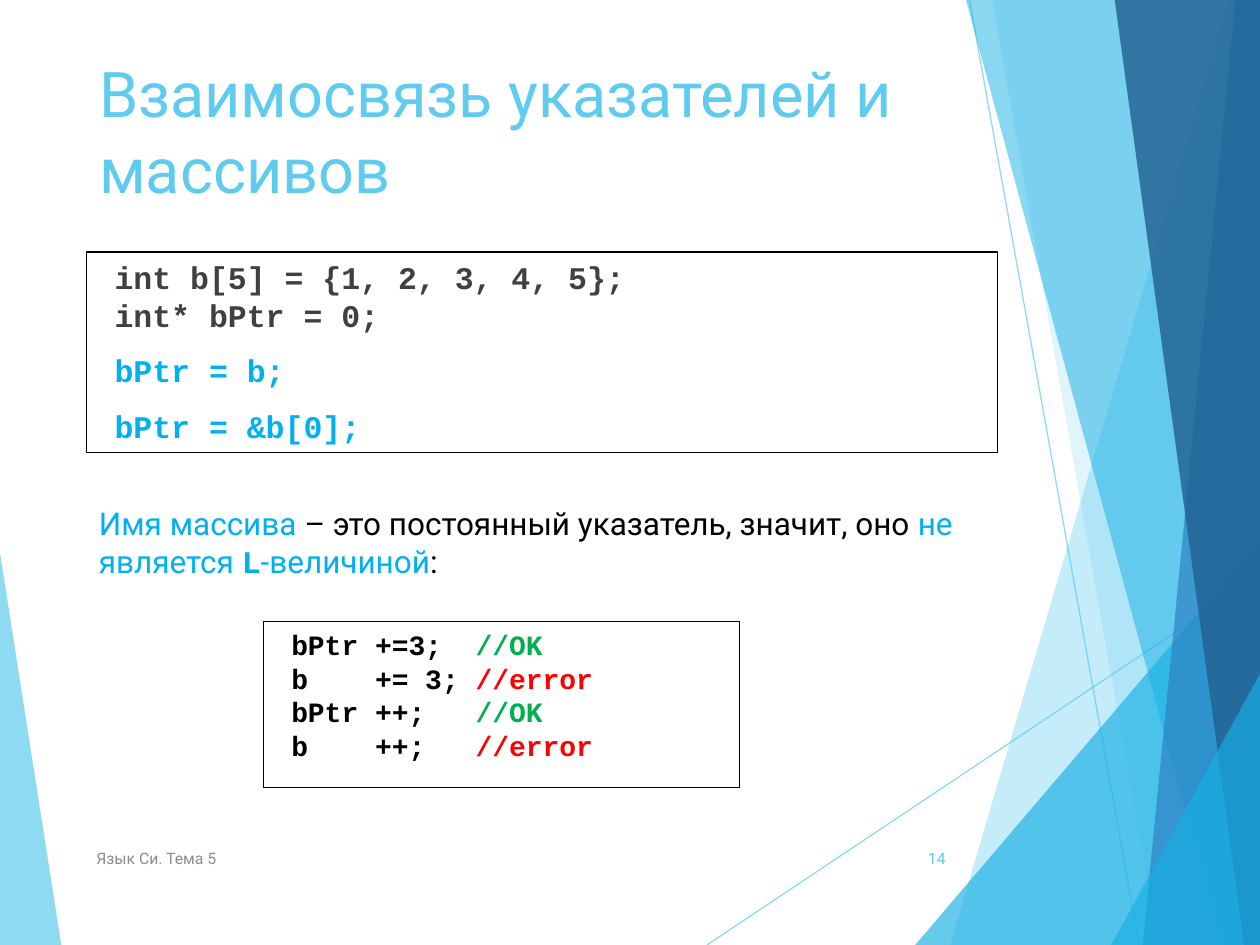
from lxml.etree import SubElement
from pptx import Presentation
from pptx.dml.color import RGBColor
from pptx.enum.shapes import MSO_CONNECTOR, MSO_SHAPE
from pptx.enum.text import MSO_ANCHOR, MSO_AUTO_SIZE, PP_ALIGN
from pptx.oxml.ns import qn
from pptx.util import Pt

SKY, CYAN, BLUE, BLACK = "5FCBEF", "17B0E4", "00B0F0", "000000"
GREY, GREEN, RED = "404040", "00B050", "FF0000"
W, H = 720, 540
CODE = {"name": "Courier New", "bold": True}
TEXT = {"name": "Roboto", "bold": False}

FACETS = [
    (SKY, 70, [(0, 316), (35, H), (0, H)]),
    (SKY, 36, [(702, 0), (543, H), (W, H), (W, 0)]),
    (SKY, 20, [(567, 0), (662, H), (W, H), (W, 0)]),
    (CYAN, 66, [(523, H), (W, 309), (W, H)]),
    (CYAN, 50, [(552, 0), (698, H), (W, H), (W, 0)]),
    ("2E83C3", 70, [(706, 0), (653, H), (W, H), (W, 0)]),
    ("226292", 82, [(637, 0), (711, H), (W, H), (W, 0)]),
    (CYAN, 66, [(635, H), (W, 385), (W, H)]),
]
RAYS = [(404, H, W, 329), (554, 0, 651, H)]
DECLARATION = [
    [("int b[5] = {1, 2, 3, 4, 5};", GREY)],
    [("int* bPtr = 0;", GREY)],
    [("bPtr = b;", BLUE)],
    [("bPtr = &b[0];", BLUE)],
]
CHECKS = [
    [("bPtr +=3;  ", BLACK), ("//OK", GREEN)],
    [("b    += 3; ", BLACK), ("//error", RED)],
    [("bPtr ++;   ", BLACK), ("//OK", GREEN)],
    [("b    ++;   ", BLACK), ("//error", RED)],
]
RULE = [[
    ("Имя массива ", BLUE), ("– это постоянный указатель, значит, оно ", BLACK),
    ("не является ", BLUE), ("L", BLUE, CODE), ("-величиной", BLUE), (":", BLACK),
]]


def set_attrs(obj, values):
    """Set every attribute named in a dict."""
    for name, value in values.items():
        setattr(obj, name, value)


def paint(fmt, color, opacity=100):
    """Give a fill a solid colour with an opacity in percent."""
    fmt.solid()
    fmt.fore_color.rgb = RGBColor.from_string(color)
    if opacity < 100:
        clr = next(fmt._xPr.iter(qn("a:srgbClr")))
        SubElement(clr, qn("a:alpha")).set("val", str(opacity * 1000))


def add_facet(s, color, opacity, points):
    """Draw one translucent polygon of the background."""
    fb = s.shapes.build_freeform(*points[0], scale=Pt(1))
    fb.add_line_segments(points[1:], close=True)
    sp = fb.convert_to_shape()
    sp.shadow.inherit = False
    sp.line.fill.background()
    paint(sp.fill, color, opacity)


def add_ray(s, *ends):
    """Draw one thin background line."""
    cn = s.shapes.add_connector(MSO_CONNECTOR.STRAIGHT, *map(Pt, ends))
    cn.line.width = Pt(0.75)
    paint(cn.line.fill, SKY, 70)
    SubElement(cn._element.spPr, qn("a:effectLst"))


def write(sp, paragraphs, size, font=TEXT, align=PP_ALIGN.LEFT, spaces=(), **frame):
    """Fill a shape with paragraphs made of coloured runs."""
    tf = sp.text_frame
    set_attrs(tf, {"word_wrap": True, "auto_size": MSO_AUTO_SIZE.NONE,
                   "vertical_anchor": MSO_ANCHOR.TOP, **frame})
    for i, runs in enumerate(paragraphs):
        p = tf.add_paragraph() if i else tf.paragraphs[0]
        p.alignment = align
        p.space_before = Pt(spaces[i] if spaces else 0)
        for text, color, *special in runs:
            r = p.add_run()
            r.text = text
            set_attrs(r.font, {"size": Pt(size), **(special[0] if special else font)})
            paint(r.font.fill, color)


def add_text(s, box, paragraphs, size, **options):
    """Add a plain text box."""
    write(s.shapes.add_textbox(*map(Pt, box)), paragraphs, size, **options)


def add_code(s, box, lines, size, **options):
    """Add a framed listing."""
    sp = s.shapes.add_shape(MSO_SHAPE.RECTANGLE, *map(Pt, box))
    sp.shadow.inherit = False
    sp.fill.background()
    sp.line.width = Pt(0.75)
    paint(sp.line.fill, BLACK)
    write(sp, lines, size, CODE, margin_left=Pt(16), **options)


def add_title(s, box, text):
    """Place and format the title placeholder."""
    sp = s.shapes.title
    set_attrs(sp, dict(zip(("left", "top", "width", "height"), map(Pt, box))))
    write(sp, [[(text, SKY)]], 36)


def main():
    """Build the slide and save it."""
    prs = Presentation()
    set_attrs(prs, {"slide_width": Pt(W), "slide_height": Pt(H)})
    s = prs.slides.add_slide(prs.slide_layouts[5])
    add_facet(s, *FACETS[0])
    for ray in RAYS:
        add_ray(s, *ray)
    for facet in FACETS[1:]:
        add_facet(s, *facet)
    add_title(s, (49.5, 27.5, 500, 103.5), "Взаимосвязь указателей и массивов")
    add_text(s, (48, 476, 364, 29), [[("Язык Си. Тема 5", "8C8C8C")]], 9,
             vertical_anchor=MSO_ANCHOR.MIDDLE)
    add_text(s, (507.5, 476, 40, 29), [[("14", SKY)]], 9, align=PP_ALIGN.RIGHT,
             vertical_anchor=MSO_ANCHOR.MIDDLE)
    add_code(s, (49.5, 144, 520.5, 114.5), DECLARATION, 18, spaces=(0, 0, 10, 10))
    add_text(s, (49.5, 284.5, 520.5, 51), RULE, 18)
    add_code(s, (150.5, 355, 272, 95), CHECKS, 16)
    prs.save("out.pptx")


if __name__ == "__main__":
    main()
